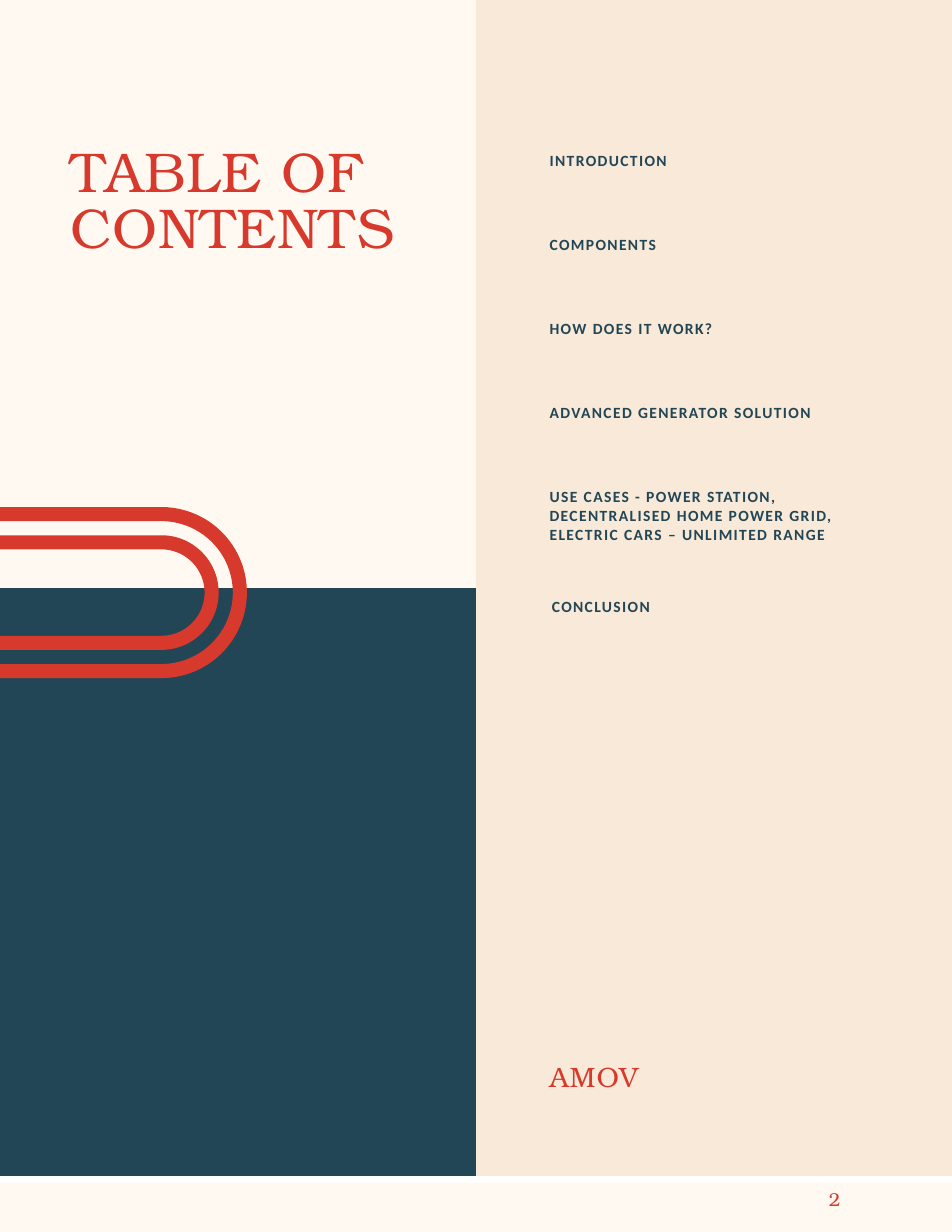
import math

from pptx import Presentation
from pptx.dml.color import RGBColor
from pptx.enum.shapes import MSO_SHAPE
from pptx.util import Cm, Pt

RECTANGLE = MSO_SHAPE.RECTANGLE
COLORS = {
    "cream": "FFF9F2",
    "sand": "F8E9D8",
    "teal": "224655",
    "red": "D73A2C",
}
SERIF, SANS = "TeX Gyre Bonum", "Calibri"
PAGE_W, PAGE_H = 21.59, 27.94
ENTRIES = [
    "INTRODUCTION",
    "COMPONENTS",
    "HOW DOES IT WORK?",
    "ADVANCED GENERATOR SOLUTION",
    "USE CASES - POWER STATION, DECENTRALISED HOME POWER GRID, "
    "ELECTRIC CARS – UNLIMITED RANGE",
]


def paint(sp, color):
    sp.shadow.inherit = False
    sp.fill.solid()
    sp.fill.fore_color.rgb = RGBColor.from_string(COLORS[color])
    sp.line.fill.background()


def add_panel(s, box, color):
    sp = s.shapes.add_shape(RECTANGLE, *map(Cm, box))
    paint(sp, color)


def add_text(s, box, text, font, size, color, bold=False, tracking=0.0,
             leading=None):
    """Add a margin-free text box; tracking and leading are in points."""
    tf = s.shapes.add_textbox(*map(Cm, box)).text_frame
    tf.word_wrap = True
    tf.margin_left = tf.margin_top = tf.margin_right = tf.margin_bottom = 0
    p = tf.paragraphs[0]
    if leading:
        p.line_spacing = Pt(leading)
    r = p.add_run()
    r.text = text
    r.font.name = font
    r.font.size = Pt(size)
    r.font.bold = bold
    r.font.color.rgb = RGBColor.from_string(COLORS[color])
    r._r.get_or_add_rPr().set("spc", str(round(tracking * 100)))


def add_u_band(s, left, cx, cy, outer, inner):
    """Draw a U-shaped band that opens to the left edge."""
    def arc(radius, angles):
        return [(cx + radius * math.sin(math.radians(a)),
                 cy - radius * math.cos(math.radians(a))) for a in angles]

    points = [(left, cy - outer), *arc(outer, range(0, 181, 4)),
              (left, cy + outer), (left, cy + inner),
              *arc(inner, range(180, -1, -4)), (left, cy - inner)]
    points = [(Cm(x), Cm(y)) for x, y in points]
    fb = s.shapes.build_freeform(*points[0], scale=1.0)
    fb.add_line_segments(points[1:], close=True)
    paint(fb.convert_to_shape(), "red")


def add_title_side(s, x, y, w, h):
    half = h / 2
    add_panel(s, (x, y + half, w, half), "teal")
    add_panel(s, (x, y, w, half), "cream")
    for outer in (1.94, 1.3):
        add_u_band(s, x, x + 3.66, y + 13.44, outer, outer - 0.32)
    add_text(s, (x + 1.6, y + 3.35, 7.7, 2.62), "TABLE OF CONTENTS",
             SERIF, 36, "red", tracking=0.65, leading=36)


def add_contents_side(s, x, y):
    tops = [y + 3.43 + 1.905 * i for i in range(len(ENTRIES))]
    rows = [(x, top, text) for top, text in zip(tops, ENTRIES)]
    rows.append((x + 0.05, y + 13.54, "CONCLUSION"))
    for left, top, text in rows:
        add_text(s, (left + 1.67, top, 7.14, 0.43), text, SANS, 10, "teal",
                 bold=True, tracking=0.9)
    add_text(s, (x + 1.67, y + 24.03, 2.5, 0.71), "AMOV", SERIF, 18, "red",
             tracking=0.7)


def add_footer(s, x, y, w, h):
    add_panel(s, (x, y, w, h), "cream")
    add_text(s, (x + 18.8, y + 0.13, 0.5, 0.48), "2", SERIF, 12, "red")


def main():
    prs = Presentation()
    prs.slide_width, prs.slide_height = Cm(PAGE_W), Cm(PAGE_H)
    s = prs.slides.add_slide(prs.slide_layouts[6])
    body_h, footer_h = 26.67, 1.12
    middle = PAGE_W / 2
    add_footer(s, 0, PAGE_H - footer_h, PAGE_W, footer_h)
    add_panel(s, (0, 0, PAGE_W, body_h), "sand")
    add_title_side(s, 0, 0, middle, body_h)
    add_contents_side(s, middle, 0)
    prs.save("out.pptx")


if __name__ == "__main__":
    main()
